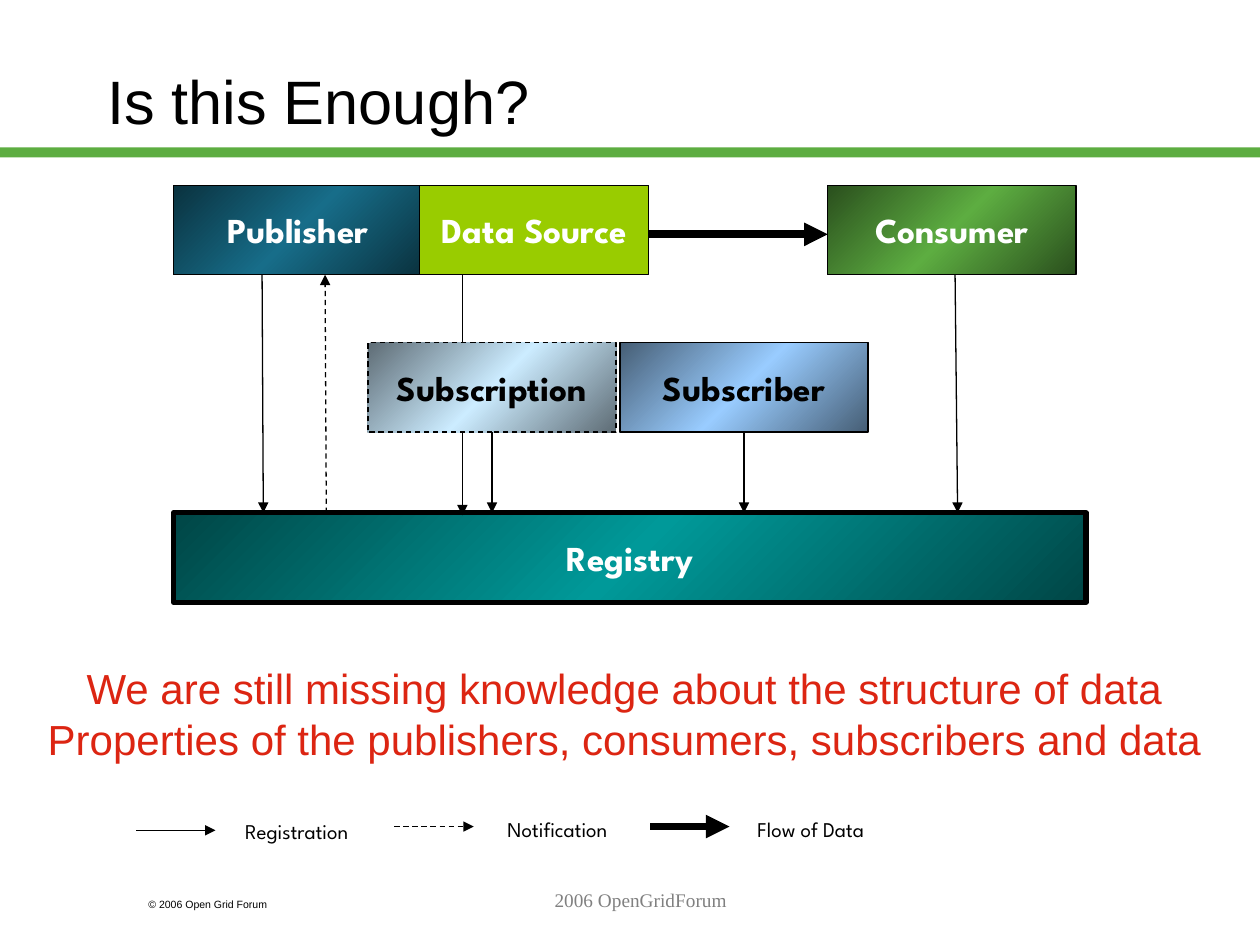
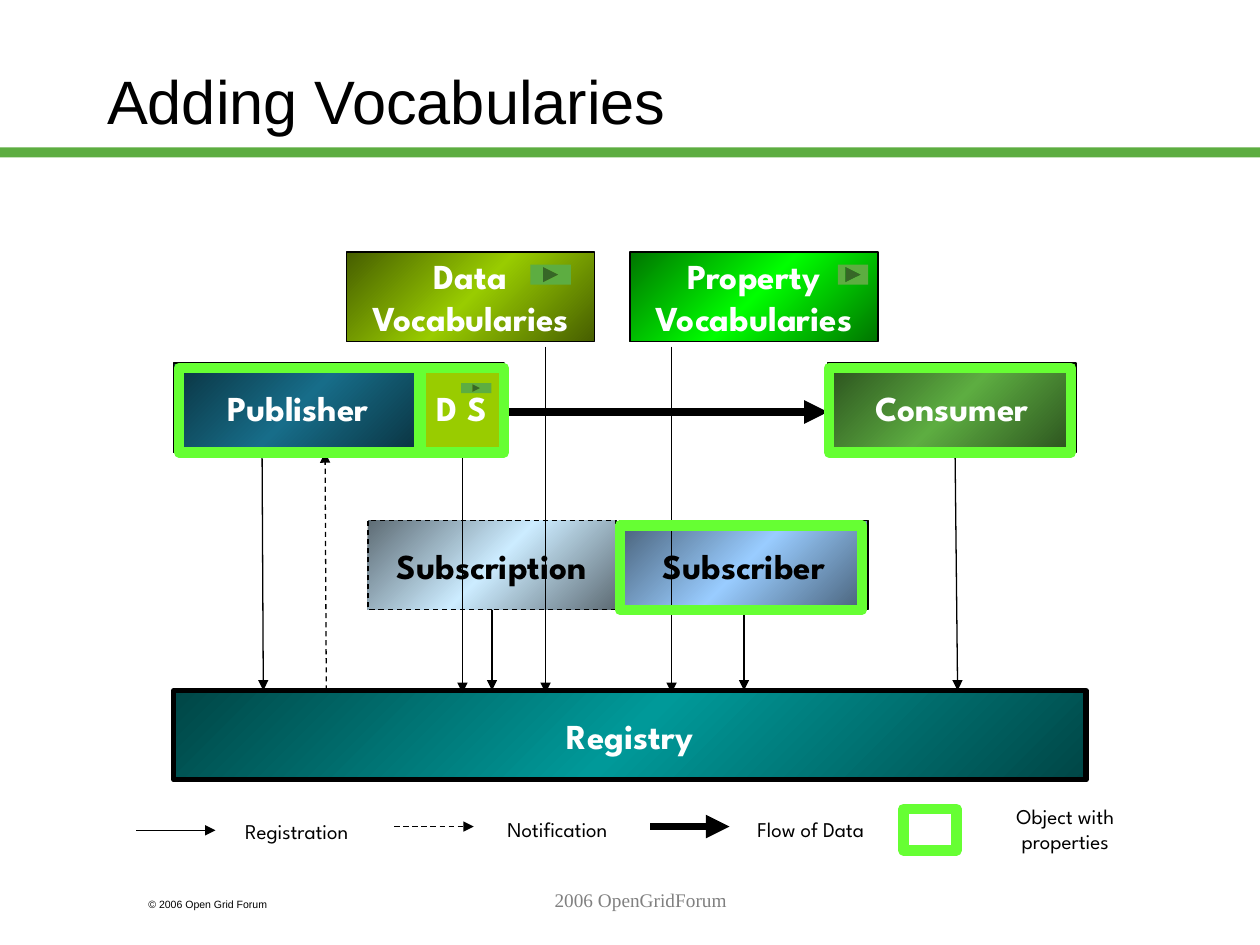
"""Build two slides on registries, subscriptions and vocabularies."""
import copy
import dataclasses
import typing

import lxml.etree
import pptx
import pptx.dml.color
import pptx.dml.fill
import pptx.enum.dml
import pptx.enum.shapes
import pptx.enum.text
import pptx.oxml.ns
import pptx.shapes.autoshape
import pptx.slide
import pptx.text.text
import pptx.util

Inches = pptx.util.Inches
Pt = pptx.util.Pt
Slide = pptx.slide.Slide
Shape = pptx.shapes.autoshape.Shape
Align = pptx.enum.text.PP_ALIGN
Preset = pptx.enum.shapes.MSO_SHAPE

BLACK = "000000"
WHITE = "FFFFFF"
GREEN = "5DAD41"
LIME = "99CC00"
HIGHLIGHT = "66FF33"
RED = "DC2512"
GREY = "808080"

BODY_FONT = "Arial"
DIAGRAM_FONT = "League Spartan"
FOOTER_FONT = "Times New Roman"

BOX_WIDTH = 1.97
BOX_HEIGHT = 0.71
SUBSCRIPTION_DROP = 1.25
REGISTRY_DROP = 2.6


@dataclasses.dataclass(frozen=True)
class TextStyle:
    """Font settings of a run and the alignment of its paragraph."""

    size: float
    font: str
    color: str = BLACK
    bold: bool = False
    align: Align = Align.CENTER


@dataclasses.dataclass(frozen=True)
class Box:
    """A labelled block of the diagram."""

    lines: tuple[str, ...]
    left: float
    top: float
    fill: str
    edge: str = ""
    width: float = BOX_WIDTH
    ink: str = WHITE
    outline: float = 0.75
    dashed: bool = False


@dataclasses.dataclass(frozen=True)
class Arrow:
    """A straight arrow that points at its end."""

    start: tuple[float, float]
    end: tuple[float, float]
    weight: float = 0.75
    dashed: bool = False


@dataclasses.dataclass(frozen=True)
class Label:
    """Free text at a given place."""

    lines: tuple[str, ...]
    left: float
    top: float
    width: float
    height: float
    style: TextStyle
    wrap: bool = True


TITLE_STYLE = TextStyle(35, BODY_FONT, align=Align.LEFT)
COPYRIGHT_STYLE = TextStyle(6, BODY_FONT, align=Align.LEFT)
FOOTER_STYLE = TextStyle(11, FOOTER_FONT, GREY)
LEGEND_STYLE = TextStyle(12, DIAGRAM_FONT)
MESSAGE_STYLE = TextStyle(24, BODY_FONT, RED)

FOOTERS = (
    Label(("© 2006 Open Grid Forum",), 1.08, 7.08, 1.5, 0.2, COPYRIGHT_STYLE),
    Label(("2006 OpenGridForum",), 2.17, 7, 5.83, 0.5, FOOTER_STYLE),
)
LEGEND_ARROWS = (
    Arrow((1.08, 6.59), (1.71, 6.59)),
    Arrow((3.13, 6.56), (3.76, 6.56), dashed=True),
    Arrow((5.16, 6.56), (5.79, 6.56), weight=4.5),
)
LEGEND_LABELS = (
    Label(("Registration",), 1.78, 6.45, 1.15, 0.3, LEGEND_STYLE, wrap=False),
    Label(("Notification",), 3.9, 6.43, 1.05, 0.5, LEGEND_STYLE),
    Label(("Flow of Data",), 5.85, 6.43, 1.17, 0.3, LEGEND_STYLE, wrap=False),
)
MESSAGE = Label(
    (
        "We are still missing knowledge about the structure of data",
        "Properties of the publishers, consumers, subscribers and data",
    ),
    0.28, 5.21, 9.35, 0.9, MESSAGE_STYLE, wrap=False,
)
PROPERTIES_LABEL = Label(("Object with properties",), 7.83, 6.33, 1.25, 0.5, LEGEND_STYLE)
VOCABULARIES = (
    Box(("Data", "Vocabularies"), 2.75, 2, LIME, "465E00"),
    Box(("Property", "Vocabularies"), 5, 2, "00FF00", "007500"),
)
BUTTONS = ((4.21, 2.1, 0.32, 0.16), (3.66, 3.04, 0.24, 0.08), (6.65, 2.1, 0.24, 0.16))
FRAMES = (
    (1.42, 2.92, 1.92, 0.67),
    (6.58, 2.92, 1.92, 0.67),
    (4.92, 4.17, 1.92, 0.67),
    (3.33, 2.92, 0.67, 0.67),
    (7.17, 6.42, 0.42, 0.33),
)


def rgb(color: str) -> pptx.dml.color.RGBColor:
    """Turn a hex string into a colour."""
    return pptx.dml.color.RGBColor.from_string(color)


def write_text(frame: pptx.text.text.TextFrame, lines: tuple[str, ...], style: TextStyle) -> None:
    """Write one paragraph for each line."""
    for index, line in enumerate(lines):
        para = frame.paragraphs[0] if index == 0 else frame.add_paragraph()
        para.alignment = style.align
        span = para.add_run()
        span.text = line
        span.font.size = Pt(style.size)
        span.font.name = style.font
        span.font.bold = style.bold
        span.font.color.rgb = rgb(style.color)


def fill_gradient(shape: Shape, core: str, edge: str) -> None:
    """Fill a shape diagonally from edge to core and back."""
    shape.fill.gradient()
    shape.fill.gradient_angle = 135
    stop_list = shape.element.spPr.find(".//" + pptx.oxml.ns.qn("a:gsLst"))
    stop_list.insert(1, copy.deepcopy(stop_list[0]))
    for stop, color, position in zip(shape.fill.gradient_stops, (edge, core, edge), (0, 0.5, 1)):
        stop.color.rgb = rgb(color)
        stop.position = position


def add_preset(
    slide: Slide, preset: Preset, place: tuple[float, ...], fill: str = "",
    line: str = "", weight: float = 0,
) -> Shape:
    """Add a preset shape without shadow."""
    shape = slide.shapes.add_shape(preset, *map(Inches, place))
    shape.shadow.inherit = False
    if fill:
        shape.fill.solid()
        shape.fill.fore_color.rgb = rgb(fill)
    else:
        shape.fill.background()
    if line:
        shape.line.color.rgb = rgb(line)
        shape.line.width = Pt(weight)
    else:
        shape.line.fill.background()
    return shape


def draw_box(slide: Slide, box: Box) -> Shape:
    """Draw a labelled block."""
    place = (box.left, box.top, box.width, BOX_HEIGHT)
    shape = add_preset(slide, Preset.RECTANGLE, place, box.fill, BLACK, box.outline)
    if box.edge:
        fill_gradient(shape, box.fill, box.edge)
    if box.dashed:
        shape.line.dash_style = pptx.enum.dml.MSO_LINE.DASH
    shape.text_frame.word_wrap = False
    shape.text_frame.vertical_anchor = pptx.enum.text.MSO_ANCHOR.MIDDLE
    write_text(shape.text_frame, box.lines, TextStyle(20, DIAGRAM_FONT, box.ink, bold=True))
    return shape


def draw_arrow(slide: Slide, arrow: Arrow, source: typing.Optional[Shape] = None) -> None:
    """Draw an arrow, joined to the bottom of its source if there is one."""
    line = slide.shapes.add_connector(
        pptx.enum.shapes.MSO_CONNECTOR.STRAIGHT, *map(Inches, arrow.start + arrow.end)
    )
    if source is not None:
        line.begin_connect(source, 2)
    line.line.color.rgb = rgb(BLACK)
    line.line.width = Pt(arrow.weight)
    if arrow.dashed:
        line.line.dash_style = pptx.enum.dml.MSO_LINE.DASH
    properties = line.element.spPr
    outline = properties.find(pptx.oxml.ns.qn("a:ln"))
    lxml.etree.SubElement(outline, pptx.oxml.ns.qn("a:tailEnd"), type="triangle")
    lxml.etree.SubElement(properties, pptx.oxml.ns.qn("a:effectLst"))


def draw_label(slide: Slide, label: Label) -> None:
    """Draw free text."""
    place = (label.left, label.top, label.width, label.height)
    frame = slide.shapes.add_textbox(*map(Inches, place)).text_frame
    frame.word_wrap = label.wrap
    write_text(frame, label.lines, label.style)


def draw_registered_box(slide: Slide, box: Box, registry_top: float) -> None:
    """Draw a block and the registration arrow from its bottom."""
    shape = draw_box(slide, box)
    center = box.left + box.width / 2
    draw_arrow(slide, Arrow((center, box.top + BOX_HEIGHT), (center, registry_top)), shape)


def draw_subscription(slide: Slide, top: float) -> None:
    """Draw the dashed subscription block."""
    box = Box(("Subscription",), 2.92, top + SUBSCRIPTION_DROP, "CCECFF", "5E6C75",
              ink=BLACK, dashed=True)
    draw_registered_box(slide, box, top + REGISTRY_DROP)


def draw_data_source(slide: Slide, top: float, name: str, width: float) -> None:
    """Draw the data source and its arrow to the registry."""
    draw_box(slide, Box((name,), 3.33, top, LIME, width=width))
    draw_arrow(slide, Arrow((3.67, top + BOX_HEIGHT), (3.67, top + REGISTRY_DROP + 0.02), 1))


def draw_diagram(slide: Slide, top: float) -> None:
    """Draw the blocks and arrows around the registry, and the legend."""
    bottom, registry_top = top + BOX_HEIGHT, top + REGISTRY_DROP
    subscriber = Box(("Subscriber",), 4.92, top + SUBSCRIPTION_DROP, "99CCFF", "465E75", ink=BLACK)
    draw_registered_box(slide, subscriber, registry_top)
    for box in (
        Box(("Registry",), 1.38, registry_top, "009999", "004646", width=7.24, outline=3),
        Box(("Publisher",), 1.38, top, "176D89", "0A323F"),
        Box(("Consumer",), 6.57, top, GREEN, "2A4F1D"),
    ):
        draw_box(slide, box)
    for arrow in (
        Arrow((2.08, bottom), (2.09, registry_top)),
        Arrow((7.58, bottom), (7.6, registry_top)),
        Arrow((2.59, registry_top), (2.58, bottom), dashed=True),
        Arrow((3.35, top + 0.39), (6.57, top + 0.39), weight=4.5),
        *LEGEND_ARROWS,
    ):
        draw_arrow(slide, arrow)
    for label in LEGEND_LABELS:
        draw_label(slide, label)


def add_page(deck: pptx.presentation.Presentation, title: str) -> Slide:
    """Add a slide with title, green band and footers."""
    page = deck.slides.add_slide(deck.slide_layouts.get_by_name("Title Only"))
    heading = page.shapes.title
    heading.left, heading.top, heading.width, heading.height = map(Inches, (0.75, 0.17, 8.5, 1.25))
    heading.text_frame.vertical_anchor = pptx.enum.text.MSO_ANCHOR.MIDDLE
    write_text(heading.text_frame, (title,), TITLE_STYLE)
    add_preset(page, Preset.RECTANGLE, (0, 1.17, 10, 0.08), GREEN)
    for footer in FOOTERS:
        draw_label(page, footer)
    return page


def add_enough_page(deck: pptx.presentation.Presentation) -> None:
    """Add the slide that asks whether the registry is enough."""
    page, top = add_page(deck, "Is this Enough?"), 1.47
    draw_diagram(page, top)
    draw_data_source(page, top, "Data Source", 1.82)
    draw_subscription(page, top)
    draw_label(page, MESSAGE)


def add_vocabularies_page(deck: pptx.presentation.Presentation) -> None:
    """Add the slide with vocabularies and objects with properties."""
    page, top = add_page(deck, "Adding Vocabularies"), 2.88
    draw_diagram(page, top)
    draw_subscription(page, top)
    draw_data_source(page, top, "D S", 0.67)
    for box, x in zip(VOCABULARIES, (4.33, 5.33)):
        draw_box(page, box)
        draw_arrow(page, Arrow((x, 2.75), (x, 5.5), 1))
    for place in BUTTONS:
        add_preset(page, Preset.ACTION_BUTTON_FORWARD_OR_NEXT, place, GREEN)
    for place in FRAMES:
        add_preset(page, Preset.RECTANGLE, place, line=HIGHLIGHT, weight=6)
    draw_label(page, PROPERTIES_LABEL)


def main() -> None:
    """Build and save the deck."""
    deck = pptx.Presentation()
    deck.slide_width, deck.slide_height = Inches(10), Inches(7.5)
    add_enough_page(deck)
    add_vocabularies_page(deck)
    deck.save("out.pptx")


if __name__ == "__main__":
    main()
